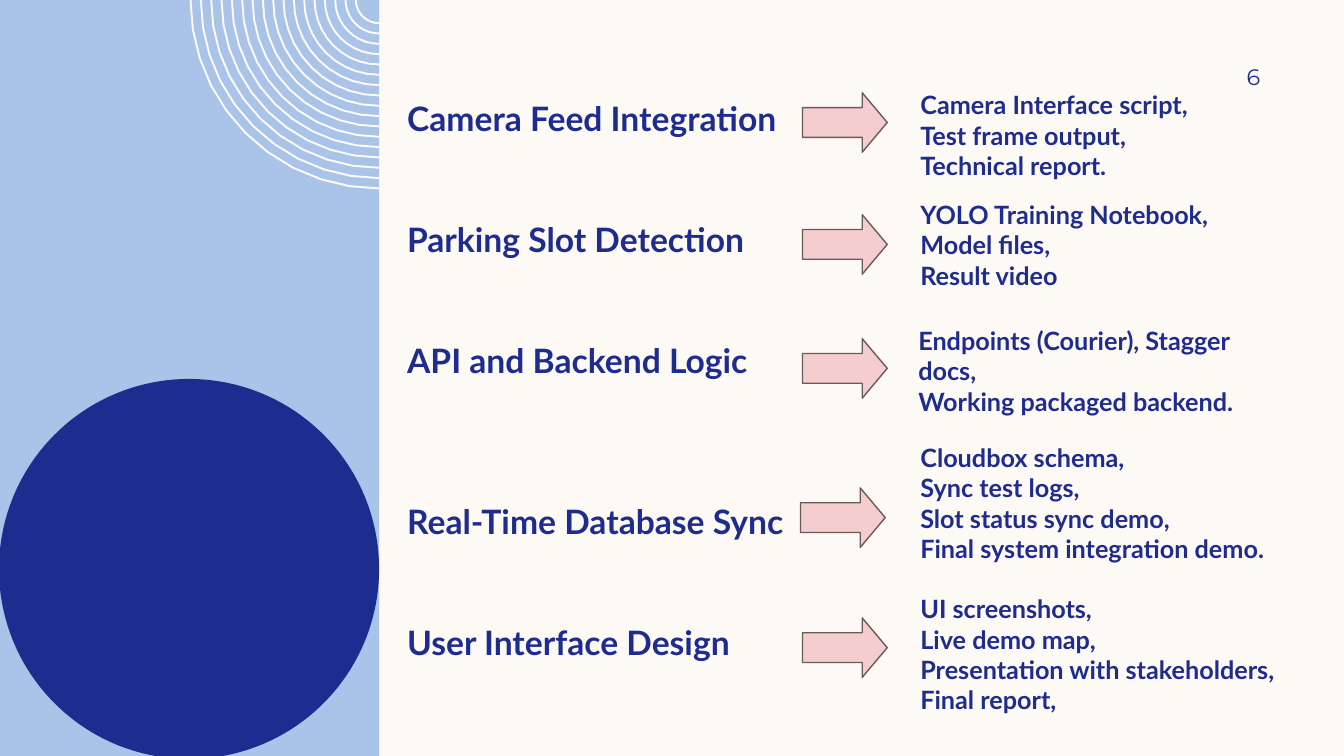
from math import cos, pi, sin

from pptx import Presentation
from pptx.dml.color import RGBColor
from pptx.enum.shapes import MSO_SHAPE as Preset
from pptx.enum.text import MSO_ANCHOR as Anchor, PP_ALIGN as Align
from pptx.util import Inches, Pt

COLORS = {
    "paper": "FDFAF6",
    "sky": "AAC3E8",
    "navy": "1F2C8F",
    "pink": "F5CDCE",
    "outline": "6B5A5A",
}
PANEL_WIDTH = 3.76
RING_COUNT = 17
RING_STEPS = 10

STAGES = [
    ("Camera Feed Integration", 0, 7.96, 0.92, (9.03, 0.84, 2.92, 1.01),
     ["Camera Interface script, Test frame output, Technical report."]),
    ("Parking Slot Detection", 57.6, 7.96, 2.13, (9.03, 1.93, 3.18, 1.01),
     ["YOLO Training Notebook,", "Model files,", "Result video"]),
    ("API and Backend Logic", 57.6, 7.96, 3.36, (9.01, 3.18, 3.46, 1.01),
     ["Endpoints (Courier), Stagger docs,", "Working packaged backend."]),
    ("Real-Time Database Sync", 86.4, 7.94, 4.84, (9.03, 4.34, 3.69, 1.31),
     ["Cloudbox schema,", "Sync test logs,", "Slot status sync demo,",
      "Final system integration demo."]),
    ("User Interface Design", 57.6, 7.96, 6.13, (9.03, 5.84, 3.91, 1.31),
     ["UI screenshots,", "Live demo map,", "Presentation with stakeholders,",
      "Final report,"]),
]


def color(name):
    return RGBColor.from_string(COLORS[name])


def write(para, text, size=18, font="Lato", bold=True, align=Align.LEFT, before=0):
    para.alignment = align
    para.space_before = Pt(before)
    span = para.add_run()
    span.text = text
    span.font.name = font
    span.font.size = Pt(size)
    span.font.bold = bold
    span.font.color.rgb = color("navy")


class SlideBuilder:
    def __init__(self, deck):
        self.page = deck.slides.add_slide(deck.slide_layouts[6])
        self.page.background.fill.solid()
        self.page.background.fill.fore_color.rgb = color("paper")

    def paint(self, shape, fill=None, line=None, weight=1):
        shape.shadow.inherit = False
        if fill:
            shape.fill.solid()
            shape.fill.fore_color.rgb = color(fill)
        else:
            shape.fill.background()
        if line:
            shape.line.color.rgb = color(line)
            shape.line.width = Pt(weight)
        else:
            shape.line.fill.background()

    def shape(self, preset, place, fill, line=None):
        shape = self.page.shapes.add_shape(preset, *map(Inches, place))
        self.paint(shape, fill, line)
        return shape

    def arrow(self, left, top):
        arrow = self.shape(Preset.RIGHT_ARROW, (left, top, 0.84, 0.59), "pink", "outline")
        arrow.adjustments[0] = 0.5
        arrow.adjustments[1] = 0.42

    def rings(self, center_x, largest, smallest):
        gap = (largest - smallest) / (RING_COUNT - 1)
        angles = [pi / 2 * step / RING_STEPS for step in range(RING_STEPS + 1)]
        builder = None
        for index in range(RING_COUNT):
            radius = largest - index * gap
            start, *rest = [(Inches(center_x - radius * cos(angle)),
                             Inches(radius * sin(angle))) for angle in angles]
            if builder is None:
                builder = self.page.shapes.build_freeform(*start)
            else:
                builder.move_to(*start)
            builder.add_line_segments(rest, close=False)
        self.paint(builder.convert_to_shape(), line="paper", weight=1.4)

    def text(self, place, lines, margins=(0.1, 0.05, 0.1, 0.05), anchor=Anchor.TOP,
             befores=None, **style):
        box = self.page.shapes.add_textbox(*map(Inches, place))
        frame = box.text_frame
        frame.word_wrap = True
        frame.vertical_anchor = anchor
        (frame.margin_left, frame.margin_top,
         frame.margin_right, frame.margin_bottom) = map(Inches, margins)
        for index, line in enumerate(lines):
            para = frame.add_paragraph() if index else frame.paragraphs[0]
            write(para, line, before=befores[index] if befores else 0, **style)


def main():
    deck = Presentation()
    deck.slide_width = Inches(13.33)
    deck.slide_height = Inches(7.5)
    slide = SlideBuilder(deck)

    slide.shape(Preset.RECTANGLE, (0, 0, PANEL_WIDTH, 7.5), "sky")
    slide.rings(PANEL_WIDTH, largest=1.87, smallest=0.23)
    slide.shape(Preset.OVAL, (-0.01, 3.76, 3.77, 3.77), "navy")
    slide.text((11.42, 0.5, 1.08, 0.52), ["6"], margins=(0.1, 0.05, 0, 0.05),
               anchor=Anchor.MIDDLE, size=16, font="Montserrat", bold=False,
               align=Align.RIGHT)

    slide.text((3.94, 0.97, 4.1, 5.8), [stage[0] for stage in STAGES],
               margins=(0.1, 0, 0.1, 0), befores=[stage[1] for stage in STAGES], size=24)
    for _, _, left, top, place, outputs in STAGES:
        slide.arrow(left, top)
        slide.text(place, outputs)

    deck.save("out.pptx")


if __name__ == "__main__":
    main()
